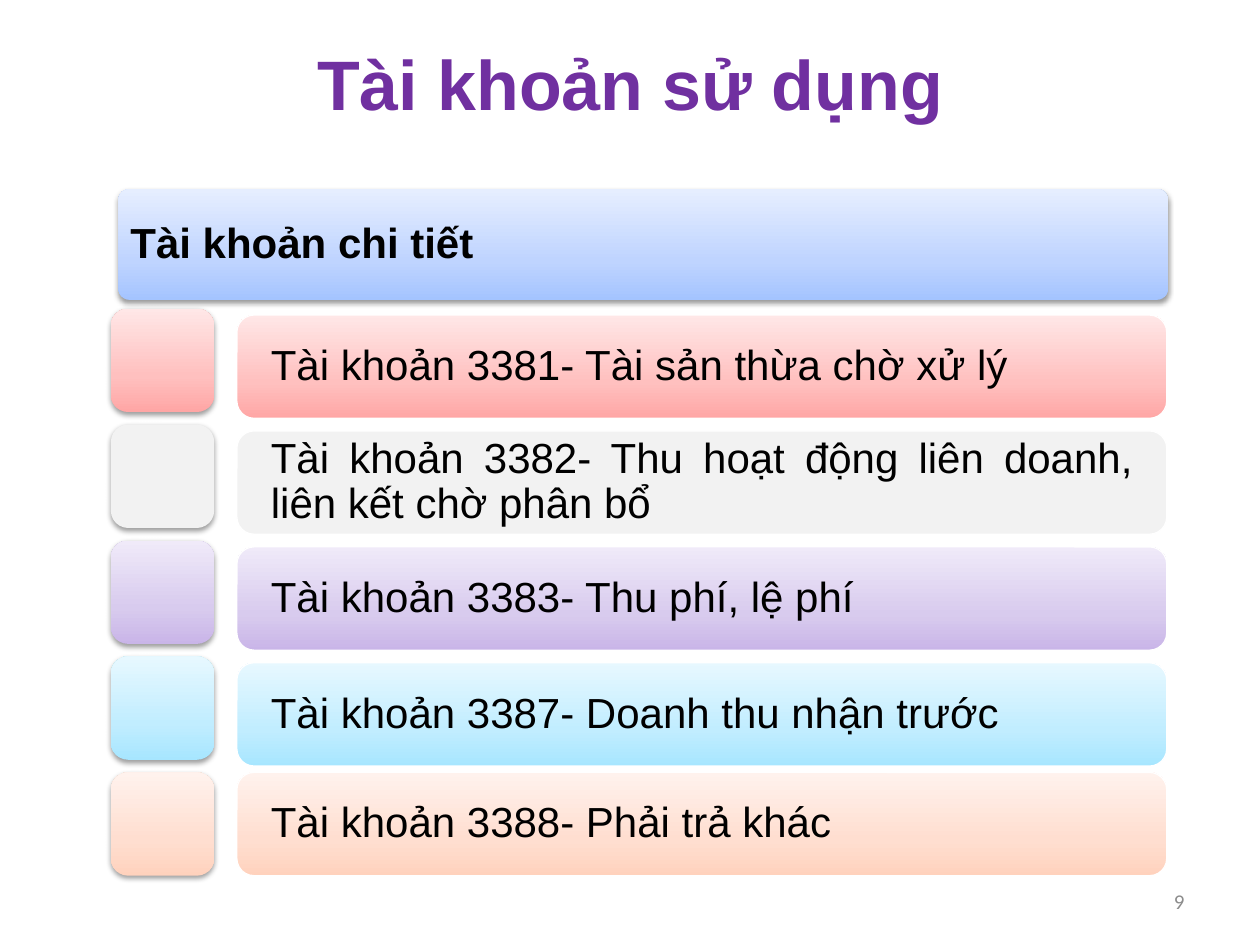
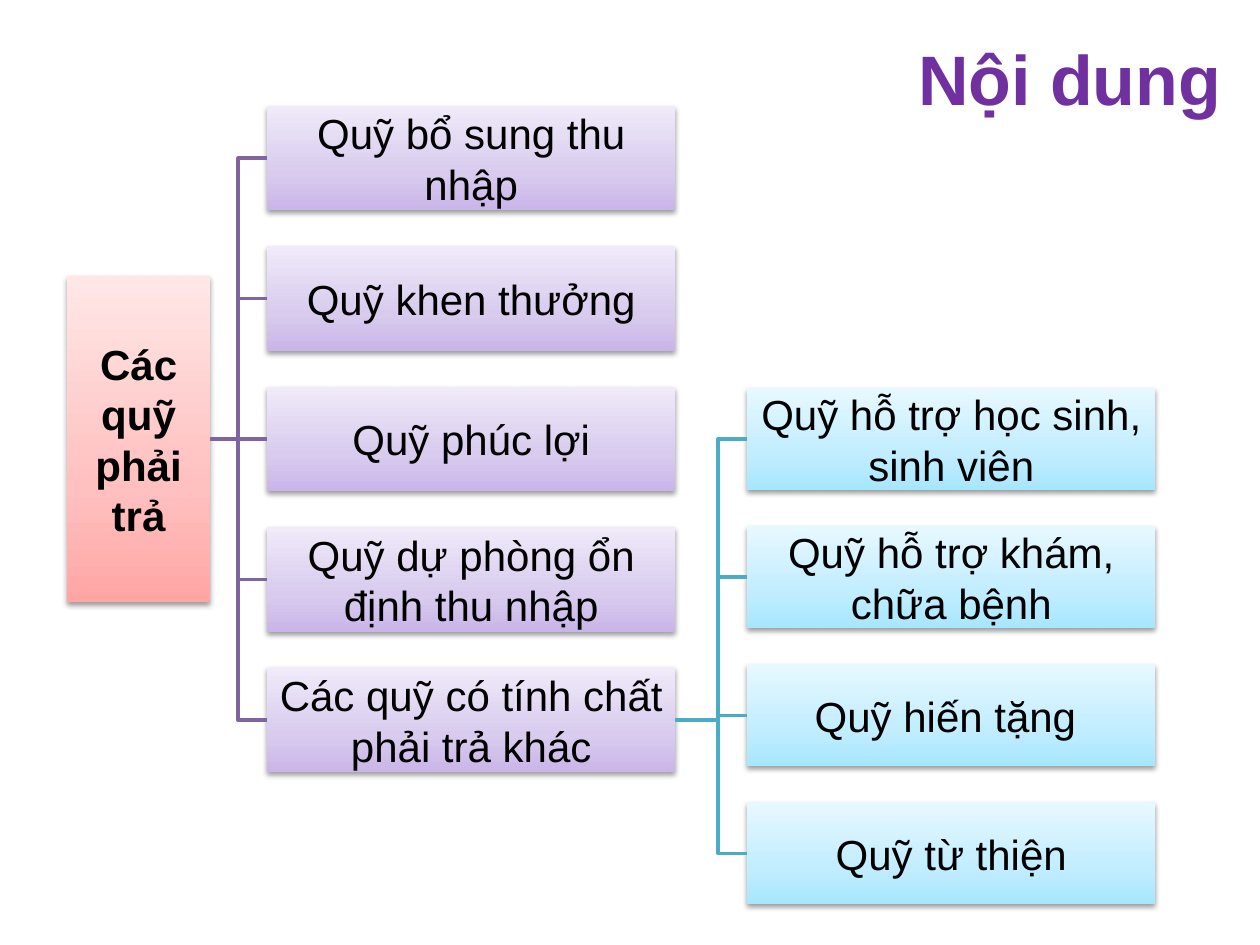
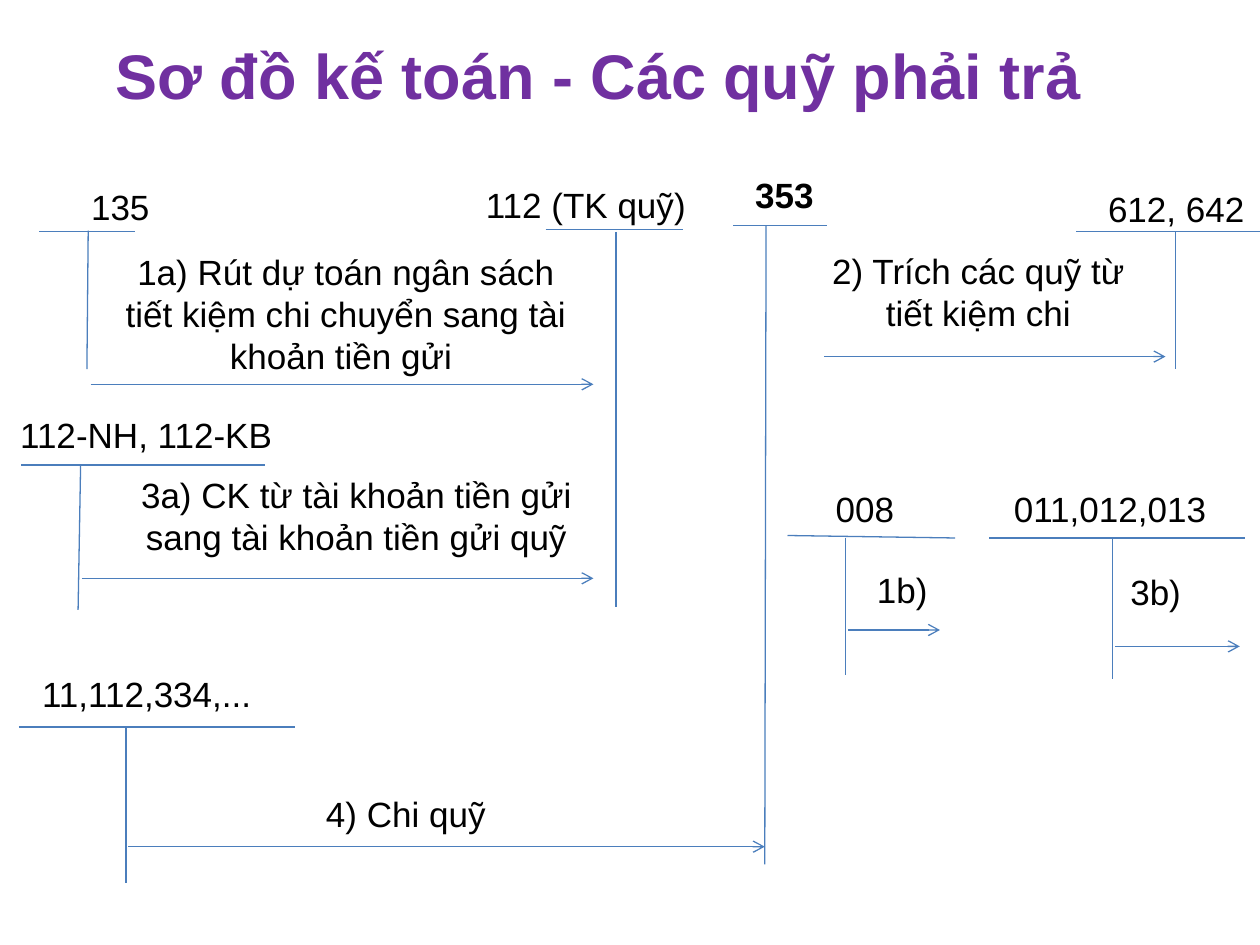
from lxml.etree import SubElement
from pptx import Presentation
from pptx.dml.color import RGBColor
from pptx.enum.shapes import MSO_CONNECTOR, MSO_SHAPE
from pptx.enum.text import MSO_ANCHOR, PP_ALIGN
from pptx.oxml.ns import qn
from pptx.util import Inches, Pt

COLORS = {
    "title": "7030A0", "text": "000000", "page": "8C8C8C", "edge": "FFFFFF",
    "plain": "F2F2F2", "account": "4B7EBC", "fund": "8064A2", "other_fund": "4BACC6",
}
# Stops at 0, 35 and 100 %, running from bottom to top
GRADIENTS = {
    "blue": ("A4C4FF", "BFD4FF", "E6EEFF"),
    "red": ("FFA6A5", "FFC0BF", "FFE7E7"),
    "purple": ("C9B5E8", "D8CBEE", "F0EAF9"),
    "cyan": ("A7E6FF", "C1EDFF", "E7F8FF"),
    "orange": ("FFD2BD", "FFDED0", "FFF2ED"),
}
STOPS = (0, 35000, 100000)

DETAIL_HEADING = "Tài khoản chi tiết"
DETAIL_ACCOUNTS = [
    ("Tài khoản 3381- Tài sản thừa chờ xử lý", "red"),
    ("Tài khoản 3382- Thu hoạt động liên doanh, liên kết chờ phân bổ", "plain"),
    ("Tài khoản 3383- Thu phí, lệ phí ", "purple"),
    ("Tài khoản 3387- Doanh thu nhận trước", "cyan"),
    ("Tài khoản 3388- Phải trả khác", "orange"),
]

FUND_ROOT = "Các quỹ phải trả"
FUNDS = [
    "Quỹ bổ sung thu nhập",
    "Quỹ khen thưởng",
    "Quỹ phúc lợi",
    "Quỹ dự phòng ổn định thu nhập",
    "Các quỹ có tính chất phải trả khác",
]
OTHER_FUNDS = [
    "Quỹ hỗ trợ học sinh, sinh viên",
    "Quỹ hỗ trợ khám, chữa bệnh",
    "Quỹ hiến tặng ",
    "Quỹ từ thiện",
]

# Account name, its box, the bar (from, to) and the stem (from, to) of its T
T_ACCOUNTS = [
    ("135", (0.62, 1.42, 0.67, 0.44), (0.31, 1.84, 1.07, 1.84), (0.7, 1.83, 0.69, 2.93)),
    ("112 (TK quỹ)", (3.75, 1.41, 1.8, 0.44), (4.33, 1.82, 5.42, 1.82), (4.89, 1.84, 4.89, 4.82)),
    ("353", (5.89, 1.33, 0.67, 0.44), (5.82, 1.79, 6.56, 1.79), (6.08, 1.79, 6.07, 6.86)),
    ("612, 642", (8.69, 1.27, 1.29, 0.54), (8.54, 1.84, 10, 1.84), (9.33, 1.84, 9.33, 2.93)),
    ("112-NH, 112-KB", (0.05, 3.23, 2.22, 0.44), (0.17, 3.69, 2.1, 3.69), (0.64, 3.69, 0.62, 4.84)),
    ("008", (6.53, 3.82, 0.67, 0.44), (6.25, 4.25, 7.58, 4.27), (6.71, 4.27, 6.71, 5.36)),
    ("011,012,013", (7.94, 3.82, 1.74, 0.44), (7.85, 4.27, 9.88, 4.27), (8.83, 4.27, 8.83, 5.39)),
    ("11,112,334,...", (0.23, 5.29, 1.87, 0.44), (0.15, 5.77, 2.34, 5.77), (1, 5.77, 1, 7.01)),
]
MAIN_ACCOUNT = "353"
LOOSE_ACCOUNT = "612, 642"
# Entry, its box and its arrow: left, right, height on the slide
ENTRIES = [
    ("1a) Rút dự toán ngân sách tiết kiệm chi chuyển sang tài khoản tiền gửi ",
     (0.89, 1.94, 3.71, 1.11), (0.72, 4.71, 3.05)),
    ("2) Trích các quỹ từ tiết kiệm chi", (6.41, 1.93, 2.71, 0.77), (6.54, 9.25, 2.83)),
    ("3a) CK từ tài khoản tiền gửi sang tài khoản tiền gửi quỹ",
     (0.9, 3.71, 3.86, 0.77), (0.65, 4.71, 4.59)),
    ("1b) ", (6.86, 4.46, 0.68, 0.44), (6.73, 7.46, 5)),
    ("3b) ", (8.87, 4.48, 0.68, 0.44), (8.85, 9.84, 5.13)),
    ("4) Chi quỹ ", (1.16, 6.24, 4.2, 0.44), (1.02, 6.07, 6.72)),
]


def rgb(name):
    return RGBColor.from_string(COLORS[name])


def write(shape, text, size, color="text", bold=False, align=PP_ALIGN.CENTER,
          anchor=MSO_ANCHOR.MIDDLE, font="Arial", spacing=None, inset=None, wrap=True):
    frame = shape.text_frame
    frame.text = text
    frame.word_wrap = wrap
    frame.vertical_anchor = anchor
    if inset is not None:
        frame.margin_left = frame.margin_right = Inches(inset)
        frame.margin_top = frame.margin_bottom = 0
    paragraph = frame.paragraphs[0]
    paragraph.alignment = align
    paragraph.line_spacing = spacing
    for run in paragraph.runs:
        run.font.name = font
        run.font.size = Pt(size)
        run.font.bold = bold
        run.font.color.rgb = rgb(color)


def add_label(slide, box, text, size, **style):
    write(slide.shapes.add_textbox(*map(Inches, box)), text, size, **style)


def add_title(slide, box, text, size=40, align=PP_ALIGN.CENTER):
    add_label(slide, box, text, size, color="title", bold=True, align=align,
              anchor=MSO_ANCHOR.BOTTOM)


def add_block(slide, box, fill, kind=MSO_SHAPE.RECTANGLE, corner=None, raised=True):
    """Filled block: raised ones cast a shadow, flat ones have a white edge."""
    block = slide.shapes.add_shape(kind, *map(Inches, box))
    if corner is not None:
        block.adjustments[0] = corner
    if fill in GRADIENTS:
        block.fill.gradient()
        block.fill.gradient_angle = 90
        stop_list = block.element.spPr.find(".//" + qn("a:gsLst"))
        for stop in list(stop_list):
            stop_list.remove(stop)
        for position, color in zip(STOPS, GRADIENTS[fill]):
            stop = SubElement(stop_list, qn("a:gs"), pos=str(position))
            SubElement(stop, qn("a:srgbClr"), val=color)
    else:
        block.fill.solid()
        block.fill.fore_color.rgb = rgb(fill)
    block.shadow.inherit = False
    if raised:
        block.line.fill.background()
        effects = block.element.spPr.find(qn("a:effectLst"))
        shadow = SubElement(effects, qn("a:outerShdw"), blurRad="40000", dist="20000",
                            dir="5400000", rotWithShape="0")
        color = SubElement(shadow, qn("a:srgbClr"), val="000000")
        SubElement(color, qn("a:alpha"), val="38000")
    else:
        block.line.color.rgb = rgb("edge")
        block.line.width = Pt(0.75)
    return block


def add_line(slide, ends, color, width=0.75, arrow=False):
    line = slide.shapes.add_connector(MSO_CONNECTOR.STRAIGHT, *map(Inches, ends))
    line.line.color.rgb = rgb(color)
    line.line.width = Pt(width)
    if arrow:
        SubElement(line.line._get_or_add_ln(), qn("a:tailEnd"), type="arrow")
    SubElement(line.element.spPr, qn("a:effectLst"))
    return line


def add_branches(slide, parent, children, bend, color):
    """Join the right side of parent to the left side of every child."""
    start_x = parent.left + parent.width
    start_y = parent.top + parent.height // 2
    for child in children:
        end_y = child.top + child.height // 2
        if abs(end_y - start_y) < Inches(0.02):
            branch = add_line(slide, (0, 0, 0, 0), color, 2)
            branch.begin_connect(parent, 3)
            branch.end_connect(child, 1)
            continue
        builder = slide.shapes.build_freeform(start_x, start_y)
        builder.add_line_segments(
            [(Inches(bend), start_y), (Inches(bend), end_y), (child.left, end_y)], close=False)
        branch = builder.convert_to_shape()
        branch.fill.background()
        branch.line.color.rgb = rgb(color)
        branch.line.width = Pt(2)
        branch.shadow.inherit = False


def add_fund(slide, box, text, fill, bold=False):
    fund = add_block(slide, box, fill)
    write(fund, text, 24, bold=bold, inset=0.02)
    return fund


def build_detail_accounts(slide):
    add_title(slide, (0.69, 0.36, 8.62, 0.68), "Tài khoản sử dụng")
    add_label(slide, (7.17, 6.95, 2.33, 0.4), "9", 12, color="page", font="Calibri",
              align=PP_ALIGN.RIGHT)
    rounded = MSO_SHAPE.ROUNDED_RECTANGLE
    row_text = {"align": PP_ALIGN.JUSTIFY, "spacing": 0.9}
    heading = add_block(slide, (0.94, 1.5, 8.33, 0.88), "blue", rounded, 0.1)
    write(heading, DETAIL_HEADING, 24, bold=True, inset=0.07, **row_text)
    size, pitch, last_top = 0.82, 0.92, 6.13
    for row, (account, fill) in enumerate(DETAIL_ACCOUNTS):
        top = 2.45 + row * pitch
        add_block(slide, (0.88, top, size, size), fill, rounded, 0.167)
        bar = add_block(slide, (1.88, min(top + 0.05, last_top), 7.38, size), fill,
                        rounded, 0.167, raised=False)
        write(bar, account, 24, inset=0.23, **row_text)


def build_fund_tree(slide):
    add_title(slide, (1.17, 0.25, 8.62, 0.75), "Nội dung", align=PP_ALIGN.RIGHT)
    root = add_fund(slide, (0.53, 2.19, 1.14, 2.59), FUND_ROOT, "red", bold=True)
    funds = [add_fund(slide, (2.12, 0.84 + row * 1.115, 3.24, 0.83), name, "purple")
             for row, name in enumerate(FUNDS)]
    other_funds = [add_fund(slide, (5.93, 3.08 + row * 1.096, 3.24, 0.81), name, "cyan")
                   for row, name in enumerate(OTHER_FUNDS)]
    add_branches(slide, root, funds, 1.89, "fund")
    add_branches(slide, funds[-1], other_funds, 5.7, "other_fund")


def build_account_diagram(slide):
    add_title(slide, (0.2, 0.35, 9.24, 0.59), "Sơ đồ kế toán - Các quỹ phải trả ", size=36)
    for account, box, bar, stem in T_ACCOUNTS:
        add_label(slide, box, account, 20, bold=account == MAIN_ACCOUNT, wrap=False,
                  anchor=MSO_ANCHOR.TOP, spacing=1.5 if account == LOOSE_ACCOUNT else None)
        add_line(slide, bar, "account")
        add_line(slide, stem, "account")
    for entry, box, (left, right, y) in ENTRIES:
        add_label(slide, box, entry, 20, anchor=MSO_ANCHOR.TOP)
        add_line(slide, (left, y, right, y), "account", arrow=True)


def main():
    deck = Presentation()
    deck.slide_width, deck.slide_height = Inches(10), Inches(7.5)
    for build in (build_detail_accounts, build_fund_tree, build_account_diagram):
        build(deck.slides.add_slide(deck.slide_layouts[6]))
    deck.save("out.pptx")


if __name__ == "__main__":
    main()
